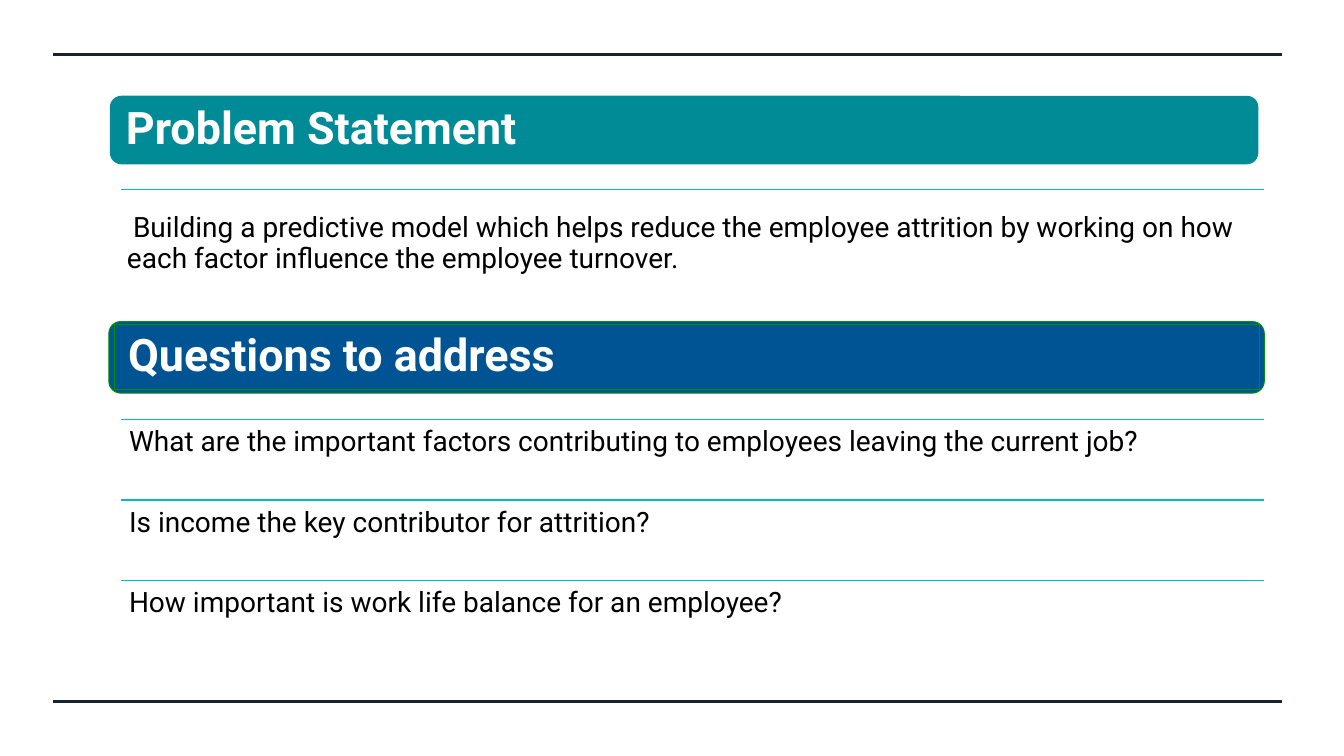
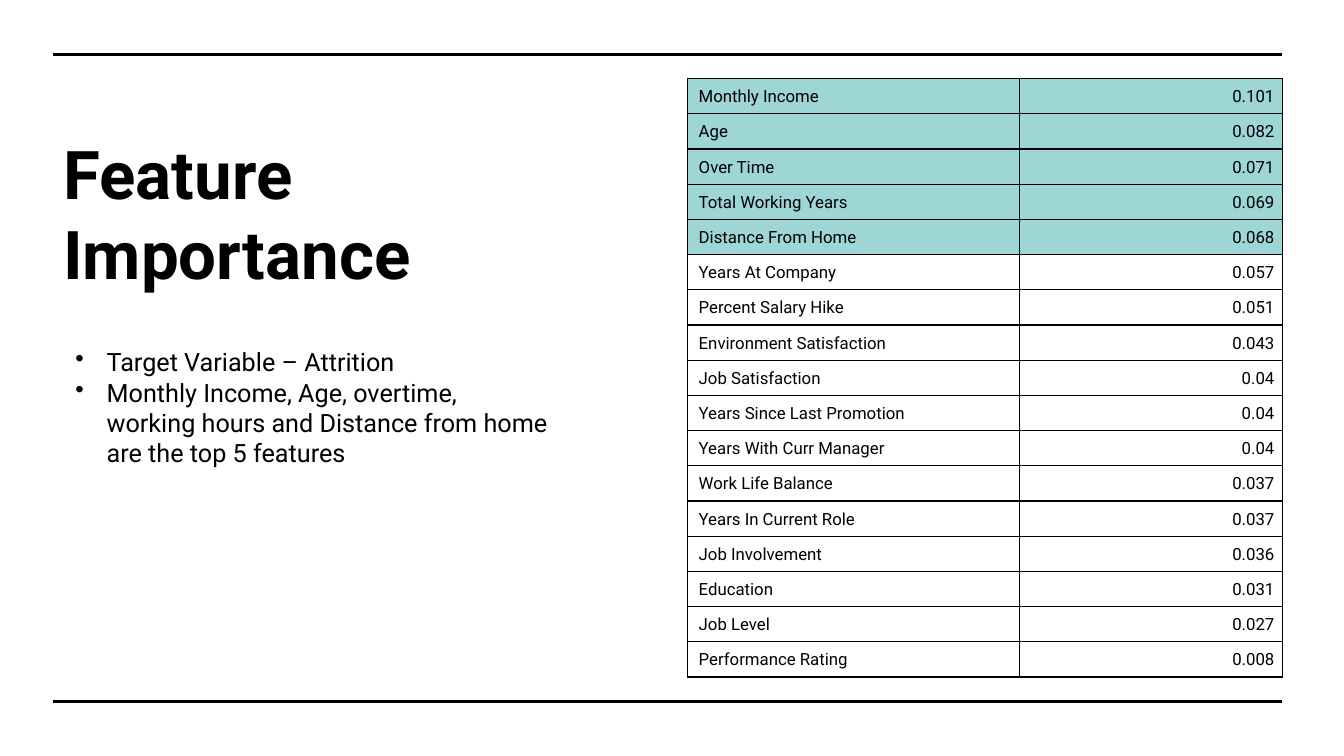
from dataclasses import dataclass

from lxml import etree
from pptx import Presentation
from pptx.dml.color import RGBColor
from pptx.enum import shapes, text
from pptx.oxml import ns
from pptx.util import Inches, Pt


@dataclass(frozen=True)
class Theme:
    font: str = "Roboto"
    black: str = "000000"
    white: str = "FFFFFF"
    navy: str = "182230"
    teal: str = "008B96"
    blue: str = "005493"
    green: str = "008F00"
    cyan: str = "00BAC8"
    highlight: str = "009193"
    highlight_alpha: int = 38
    title: int = 48
    heading: int = 32
    body: int = 20
    bullet: int = 18
    cell: int = 12


THEME = Theme()
QUESTIONS = [
    "What are the important factors contributing to employees leaving the current job?",
    "Is income the key contributor for attrition?",
    "How important is work life balance for an employee?",
]
TOP_FEATURES = 5
FEATURES = [
    ("Monthly Income", "0.101"),
    ("Age", "0.082"),
    ("Over Time", "0.071"),
    ("Total Working Years", "0.069"),
    ("Distance From Home", "0.068"),
    ("Years At Company", "0.057"),
    ("Percent Salary Hike", "0.051"),
    ("Environment Satisfaction", "0.043"),
    ("Job Satisfaction", "0.04"),
    ("Years Since Last Promotion", "0.04"),
    ("Years With Curr Manager", "0.04"),
    ("Work Life Balance", "0.037"),
    ("Years In Current Role", "0.037"),
    ("Job Involvement", "0.036"),
    ("Education", "0.031"),
    ("Job Level", "0.027"),
    ("Performance Rating", "0.008"),
]


def add_xml(parent, tag, **attributes):
    return etree.SubElement(parent, ns.qn(tag), attributes)


def style(paragraph, size, color=THEME.black, bold=False):
    font = paragraph.font
    font.name, font.size, font.bold = THEME.font, Pt(size), bold
    font.color.rgb = RGBColor.from_string(color)


def set_margins(target, left, top, right, bottom):
    target.margin_left, target.margin_top = Inches(left), Inches(top)
    target.margin_right, target.margin_bottom = Inches(right), Inches(bottom)


def add_rule(slide, left, right, y, color, weight):
    rule = slide.shapes.add_connector(
        shapes.MSO_CONNECTOR.STRAIGHT, Inches(left), Inches(y), Inches(right), Inches(y))
    rule.line.color.rgb = RGBColor.from_string(color)
    rule.line.width = Pt(weight)
    add_xml(rule._element.spPr, "a:effectLst")


def add_frame_rules(slide, color):
    for y in (0.54, 6.96):
        add_rule(slide, 0.53, 12.72, y, color, 2.25)


def add_text(slide, box, wording, size, margins=(0.1, 0.05, 0.1, 0.05),
             anchor=text.MSO_ANCHOR.TOP, bold=False, spacing=None):
    frame = slide.shapes.add_textbox(*map(Inches, box)).text_frame
    frame.word_wrap = True
    frame.vertical_anchor = anchor
    set_margins(frame, *margins)
    paragraph = frame.paragraphs[0]
    paragraph.text = wording
    paragraph.line_spacing = spacing
    style(paragraph, size, bold=bold)
    return paragraph


def add_panel(slide, kind, box, fill, outline):
    panel = slide.shapes.add_shape(kind, *map(Inches, box))
    panel.shadow.inherit = False
    if fill:
        panel.fill.solid()
        panel.fill.fore_color.rgb = RGBColor.from_string(fill)
    else:
        panel.fill.background()
    if outline:
        panel.line.color.rgb = RGBColor.from_string(outline)
        panel.line.width = Pt(0.75)
    else:
        panel.line.fill.background()
    return panel


def add_heading_band(slide, wording, band_box, label_box, fill, outline=None):
    """Rounded band with a rectangular label on it."""
    add_panel(slide, shapes.MSO_SHAPE.ROUNDED_RECTANGLE, band_box, fill, outline)
    label = add_panel(slide, shapes.MSO_SHAPE.RECTANGLE, label_box,
                      fill if outline else None, outline)
    frame = label.text_frame
    frame.vertical_anchor = text.MSO_ANCHOR.MIDDLE
    set_margins(frame, 0.13, 0.13, 0.13, 0.13)
    paragraph = frame.paragraphs[0]
    paragraph.text = wording
    paragraph.alignment = text.PP_ALIGN.LEFT
    paragraph.line_spacing = 0.9
    style(paragraph, THEME.heading, THEME.white, bold=True)


def add_bullets(slide, box, items):
    first = add_text(slide, box, items[0], THEME.bullet)
    frame = slide.shapes[-1].text_frame
    paragraphs = [first]
    for item in items[1:]:
        paragraph = frame.add_paragraph()
        paragraph.text = item
        paragraphs.append(paragraph)
    for paragraph in paragraphs:
        properties = paragraph._p.get_or_add_pPr()
        properties.set("marL", str(Inches(0.31)))
        properties.set("indent", str(-Inches(0.31)))
        bullet = etree.Element(ns.qn("a:buChar"), char="•")
        properties.insert(0, bullet)
        style(paragraph, THEME.bullet)


def add_borders(cell):
    properties = cell._tc.get_or_add_tcPr()
    for position, side in enumerate(("a:lnL", "a:lnR", "a:lnT", "a:lnB")):
        border = etree.Element(ns.qn(side), w=str(Pt(1)))
        add_xml(add_xml(border, "a:solidFill"), "a:srgbClr", val=THEME.black)
        properties.insert(position, border)


def fill_cell(cell, wording, alignment, highlighted):
    cell.vertical_anchor = text.MSO_ANCHOR.BOTTOM
    set_margins(cell, 0.11, 0.06, 0.08, 0.07)
    paragraph = cell.text_frame.paragraphs[0]
    paragraph.text = wording
    paragraph.alignment = alignment
    style(paragraph, THEME.cell)
    if highlighted:
        cell.fill.solid()
        cell.fill.fore_color.rgb = RGBColor.from_string(THEME.highlight)
        color = cell._tc.tcPr.find(".//" + ns.qn("a:srgbClr"))
        add_xml(color, "a:alpha", val=str(THEME.highlight_alpha * 1000))
    else:
        cell.fill.background()
    add_borders(cell)


def add_feature_table(slide, left, top, height, widths):
    table = slide.shapes.add_table(
        len(FEATURES), len(widths), Inches(left), Inches(top),
        Inches(sum(widths)), Inches(height)).table
    table.first_row = table.horz_banding = False
    for column, width in zip(table.columns, widths):
        column.width = Inches(width)
    alignments = (text.PP_ALIGN.LEFT, text.PP_ALIGN.RIGHT)
    for row, feature in enumerate(FEATURES):
        table.rows[row].height = Inches(height / len(FEATURES))
        for column, wording in enumerate(feature):
            fill_cell(table.cell(row, column), wording, alignments[column],
                      row < TOP_FEATURES)


def build_problem_slide(slide):
    add_frame_rules(slide, THEME.navy)

    # Problem statement
    add_heading_band(slide, "Problem Statement", (1.09, 0.95, 11.39, 0.68),
                     (1.12, 0.98, 11.33, 0.61), THEME.teal)
    add_rule(slide, 1.2, 12.54, 1.88, THEME.cyan, 0.5)
    statement = add_text(
        slide, (1.18, 2.04, 11.23, 0.75),
        "Building a predictive model which helps reduce the employee attrition by "
        "working on how each factor influence the employee turnover.",
        THEME.body, (0.08,) * 4, spacing=0.9)
    statement._p.get_or_add_pPr().set("indent", str(Inches(0.06)))

    # Questions
    add_heading_band(slide, "Questions to address", (1.08, 3.19, 11.46, 0.71),
                     (1.14, 3.22, 11.35, 0.64), THEME.blue, THEME.green)
    for index, question in enumerate(QUESTIONS):
        top = 4.16 + 0.8 * index
        add_rule(slide, 1.2, 12.54, top, THEME.cyan, 1)
        add_text(slide, (1.2, top, 11.34, 0.79), question, THEME.body,
                 (0.08,) * 4, spacing=0.9)


def build_feature_slide(slide):
    add_frame_rules(slide, THEME.black)

    # Title and findings
    title = add_text(slide, (0.53, 0.77, 5.41, 2.19), "Feature Importance",
                     THEME.title, anchor=text.MSO_ANCHOR.BOTTOM, bold=True)
    title.space_after = Pt(6)
    add_bullets(slide, (0.65, 3.39, 5.2, 1.31), [
        "Target Variable – Attrition",
        "Monthly Income, Age, overtime,\vworking hours and Distance from home"
        "\vare the top 5 features",
    ])

    # Importance scores
    add_feature_table(slide, 6.82, 0.78, 5.94, (3.29, 2.61))


def main():
    deck = Presentation()
    deck.slide_width, deck.slide_height = Inches(13.33), Inches(7.5)
    blank = deck.slide_layouts[6]
    for build in (build_problem_slide, build_feature_slide):
        build(deck.slides.add_slide(blank))
    deck.save("out.pptx")


if __name__ == "__main__":
    main()
